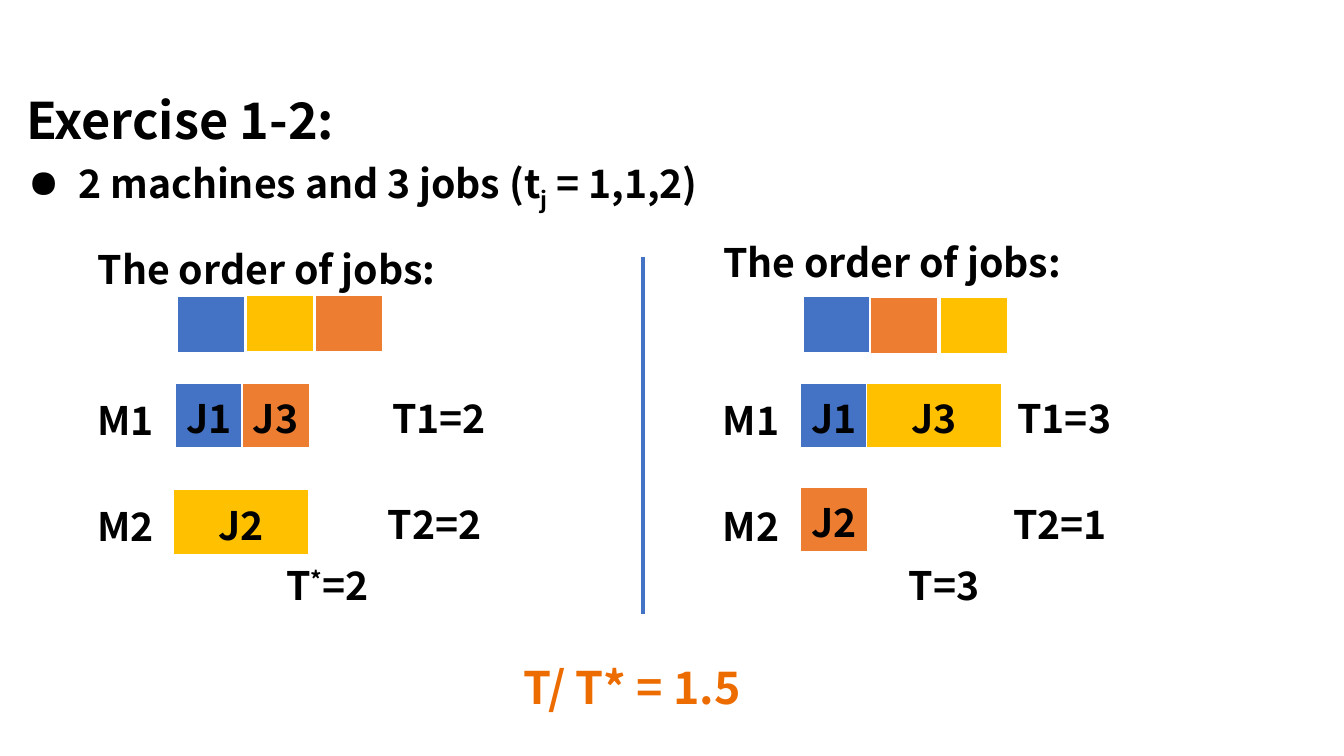
from lxml.etree import SubElement
from pptx import Presentation
from pptx.dml.color import RGBColor
from pptx.enum.shapes import MSO_CONNECTOR
from pptx.enum.text import MSO_ANCHOR, MSO_AUTO_SIZE, PP_ALIGN
from pptx.oxml import parse_xml
from pptx.oxml.ns import nsdecls, qn
from pptx.util import Pt

FONT = "Noto Sans CJK SC"
COLORS = {
    "black": "000000",
    "white": "FFFFFF",
    "blue": "4472C4",
    "orange": "ED7D31",
    "yellow": "FFC000",
    "result": "ED6C00",
}
UNIT = 48.2  # width of a job that takes one unit of time
PANEL_STEP = 446.7  # distance between the two schedules


def color(name):
    return RGBColor.from_string(COLORS[name])


def add_run(paragraph, text, size=28, fill="black", baseline=0):
    run = paragraph.add_run()
    run.text = text
    run.font.name = FONT
    run.font.size = Pt(size)
    run.font.bold = True
    run.font.color.rgb = color(fill)
    if baseline:
        run._r.get_or_add_rPr().set("baseline", str(baseline * 1000))


def add_text(slide, left, top, width, parts, size=28, fill="black", wrap=False):
    """Add one line of text; parts are (text, baseline percent) pairs."""
    height = 41 if size == 28 else size * 1.2 + 7.2
    box = slide.shapes.add_textbox(Pt(left), Pt(top), Pt(width), Pt(height))
    frame = box.text_frame
    frame.word_wrap = wrap
    frame.auto_size = MSO_AUTO_SIZE.SHAPE_TO_FIT_TEXT
    paragraph = frame.paragraphs[0]
    for text, baseline in parts:
        add_run(paragraph, text, size, fill, baseline)
    return paragraph


def add_bullet(paragraph, character, indent):
    properties = paragraph._p.get_or_add_pPr()
    properties.set("marL", str(Pt(indent)))
    properties.set("indent", str(-Pt(indent)))
    SubElement(properties, qn("a:buChar")).set("char", character)


def add_borders(cell):
    properties = cell._tc.get_or_add_tcPr()
    for index, (side, width) in enumerate((("L", 1), ("R", 1), ("T", 1), ("B", 3))):
        properties.insert(index, parse_xml(
            f'<a:ln{side} {nsdecls("a")} w="{Pt(width)}"><a:solidFill>'
            f'<a:srgbClr val="{COLORS["white"]}"/></a:solidFill></a:ln{side}>'))


def add_job(slide, left, top, fill, label="", units=1):
    """Add a job as a one-cell table."""
    width = UNIT * units
    height = 46.8 if label else 41
    table = slide.shapes.add_table(
        1, 1, Pt(left), Pt(top), Pt(width), Pt(height)).table
    table.first_row = False
    table.horz_banding = False
    cell = table.cell(0, 0)
    cell.fill.solid()
    cell.fill.fore_color.rgb = color(fill)
    add_borders(cell)
    if label:
        cell.vertical_anchor = MSO_ANCHOR.MIDDLE
        paragraph = cell.text_frame.paragraphs[0]
        paragraph.alignment = PP_ALIGN.CENTER
        add_run(paragraph, label)


def add_divider(slide, x, top, bottom):
    line = slide.shapes.add_connector(
        MSO_CONNECTOR.STRAIGHT, Pt(x), Pt(top), Pt(x), Pt(bottom))
    line.line.color.rgb = color("blue")
    line.line.width = Pt(3)
    SubElement(line._element.spPr, qn("a:effectLst"))


def add_schedule(slide, offset, order_top, order, jobs, times):
    """Add one panel: job order, machine rows and finishing times."""
    for left, top, fill in order:
        add_job(slide, offset + left, top, fill)
    for left, top, fill, label, units in jobs:
        add_job(slide, offset + left, top, fill, label, units)
    for row, time in enumerate(times):
        drop = row * 75.6
        add_text(slide, offset + 62.6, 279.4 + drop, 61.2, [(f"M{row + 1}", 0)])
        add_text(slide, offset + 273 - row * 3, 277.9 + drop, 88.6,
                 [(f"T{row + 1}={time}", 0)])
    add_text(slide, offset + 62.8, order_top, 267.8, [("The order of jobs:", 0)])


def main():
    presentation = Presentation()
    presentation.slide_width = Pt(960)
    presentation.slide_height = Pt(540)
    slide = presentation.slides.add_slide(presentation.slide_layouts[6])

    # Heading and problem
    add_text(slide, 11.5, 59.8, 782, [("Exercise 1-2:", 0)], size=36, wrap=True)
    problem = add_text(
        slide, 13, 110.2, 561,
        [("2 machines and 3 jobs (t", 0), ("j", -25), (" = 1,1,2)", 0)], wrap=True)
    add_bullet(problem, "●", 36)

    # Best schedule
    add_schedule(
        slide, 0, 171.4,
        [(126.7, 211.7, "blue"), (175.7, 211, "yellow"), (225.4, 211, "orange")],
        [(125.3, 273.6, "blue", "J1", 1),
         (172.8, 273.6, "orange", "J3", 1),
         (123.8, 349.9, "yellow", "J2", 2)],
        (2, 2))
    add_text(slide, 197.3, 397.4, 80.6, [("T", 0), ("*", 30), ("=2", 0)])

    # Greedy schedule
    add_schedule(
        slide, PANEL_STEP, 167,
        [(126.9, 211.7, "blue"), (174.7, 212.4, "orange"), (225.1, 212.4, "yellow")],
        [(125, 273.6, "blue", "J1", 1),
         (172.5, 273.6, "yellow", "J3", 2),
         (125, 347.8, "orange", "J2", 1)],
        (3, 1))
    add_text(slide, 642.2, 397.4, 71.3, [("T=3", 0)])

    # Divider and ratio
    add_divider(slide, 459.4, 183.6, 438.5)
    add_text(slide, 367.2, 468, 188.6, [("T/ T* = 1.5", 0)], size=32, fill="result")

    presentation.save("out.pptx")


if __name__ == "__main__":
    main()
